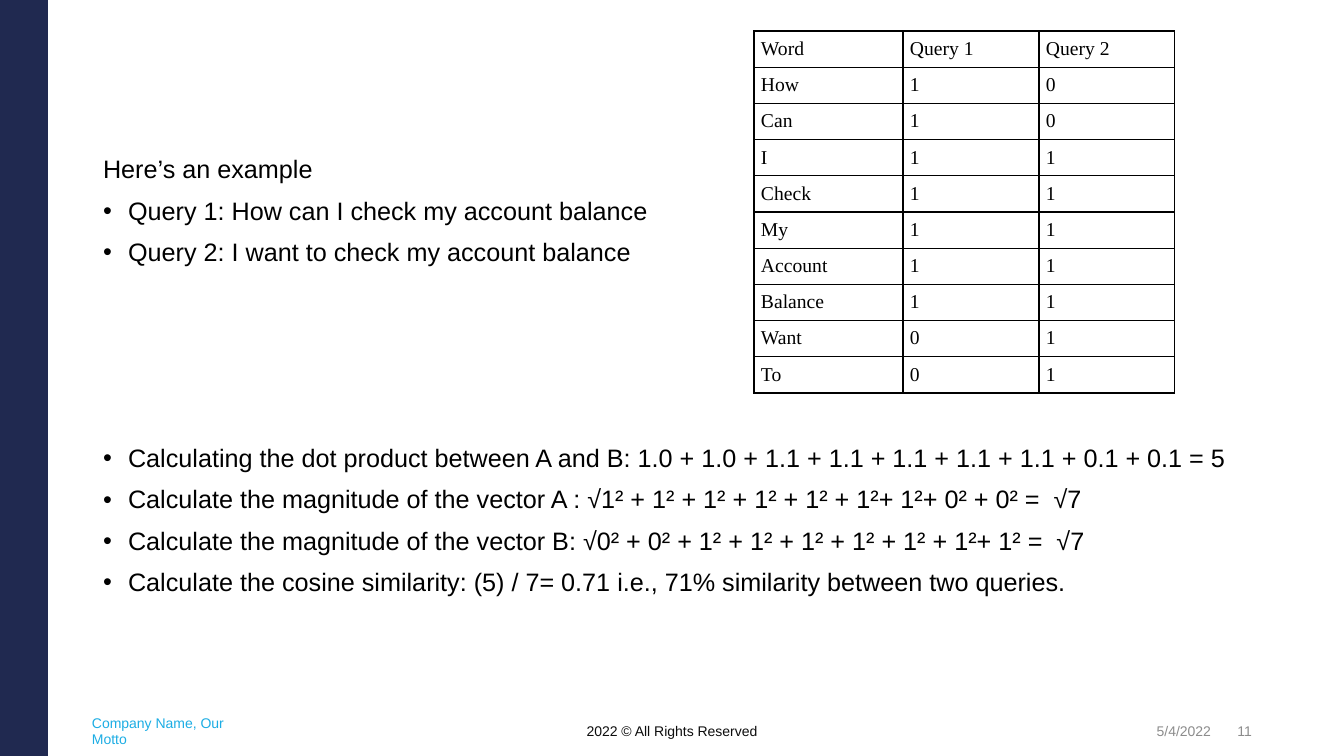
from lxml.etree import SubElement
from pptx import Presentation
from pptx.dml.color import RGBColor
from pptx.enum.shapes import MSO_SHAPE
from pptx.enum.text import MSO_ANCHOR, MSO_AUTO_SIZE, PP_ALIGN
from pptx.oxml.ns import qn
from pptx.util import Emu, Pt

NAVY = RGBColor(0x20, 0x29, 0x50)
BLUE = RGBColor(0x1C, 0xAD, 0xE4)
GRAY = RGBColor(0x8C, 0x8C, 0x8C)
DARK = RGBColor(0x0D, 0x0D, 0x0D)
BLACK = RGBColor(0, 0, 0)

LEAD = "Here’s an example"
QUERIES = [
    "Query 1: How can I check my account balance",
    "Query 2: I want to check my account balance",
]
STEPS = [
    "Calculating the dot product between A and B: 1.0 + 1.0 + 1.1 + 1.1 + 1.1 + 1.1 + 1.1 + 0.1 + 0.1 = 5",
    "Calculate the magnitude of the vector A : √1² + 1² + 1² + 1² + 1² + 1²+ 1²+ 0² + 0² =  √7",
    "Calculate the magnitude of the vector B: √0² + 0² + 1² + 1² + 1² + 1² + 1² + 1²+ 1² =  √7",
    "Calculate the cosine similarity: (5) / 7= 0.71 i.e., 71% similarity between two queries.",
]
COUNTS = [
    ("Word", "Query 1", "Query 2"),
    ("How", 1, 0),
    ("Can", 1, 0),
    ("I", 1, 1),
    ("Check", 1, 1),
    ("My", 1, 1),
    ("Account", 1, 1),
    ("Balance", 1, 1),
    ("Want", 0, 1),
    ("To", 0, 1),
]
FOOTER = [
    ("Company Name, Our Motto", 92, 169, PP_ALIGN.LEFT, BLUE),
    ("2022 © All Rights Reserved", 521, 302, PP_ALIGN.CENTER, DARK),
    ("5/4/2022", 909, 302, PP_ALIGN.RIGHT, GRAY),
    ("11", 1212, 40, PP_ALIGN.RIGHT, GRAY),
]
WIDTHS = [149, 136, 136]


def px(n):
    return Emu(round(n * 914400 / 100.8))


def style(para, size, color, face="Arial"):
    for run in para.runs:
        run.font.size = Pt(size)
        run.font.name = face
        run.font.color.rgb = color


def border(cell):
    props = cell._tc.get_or_add_tcPr()
    for side in ("lnL", "lnR", "lnT", "lnB"):
        line = SubElement(props, qn("a:" + side), w=str(Pt(1)))
        fill = SubElement(line, qn("a:solidFill"))
        SubElement(fill, qn("a:srgbClr"), val=str(BLACK))


deck = Presentation()
deck.slide_width, deck.slide_height = px(1344), px(756)
slide = deck.slides.add_slide(deck.slide_layouts[1])
shapes = slide.shapes
title = shapes.title
title.element.getparent().remove(title.element)

bar = shapes.add_shape(MSO_SHAPE.RECTANGLE, 0, 0, px(48), px(756))
bar.shadow.inherit = False
bar.fill.solid()
bar.fill.fore_color.rgb = NAVY
bar.line.fill.background()

body = slide.placeholders[1]
body.left, body.top, body.width, body.height = map(px, (93, 152, 1159, 509))
frame = body.text_frame
frame.text = "\n".join([LEAD] + QUERIES + STEPS)
frame.auto_size = MSO_AUTO_SIZE.NONE
frame.vertical_anchor = MSO_ANCHOR.TOP
for para in frame.paragraphs:
    para.line_spacing = 0.9
    para.space_before = Pt(10)
    style(para, 18, BLACK)
    props = para._p.get_or_add_pPr()
    lead = para.text == LEAD
    props.set("marL", str(0 if lead else px(25)))
    props.set("indent", str(0 if lead else -px(25)))
    if lead:
        para.space_before = Pt(0)
        SubElement(props, qn("a:buNone"))
    else:
        SubElement(props, qn("a:buChar"), char="•")
    if para.text == STEPS[0]:
        para.space_before = Pt(128)

grid = shapes.add_table(len(COUNTS), len(WIDTHS), px(754), px(31),
                        px(sum(WIDTHS)), px(362)).table
grid.first_row = grid.horz_banding = False
for col, width in zip(grid.columns, WIDTHS):
    col.width = px(width)
for row, words in zip(grid.rows, COUNTS):
    for cell, word in zip(row.cells, words):
        cell.text_frame.text = str(word)
        style(cell.text_frame.paragraphs[0], 14, BLACK, "Times New Roman")
        cell.margin_left = cell.margin_right = px(7)
        cell.margin_top = cell.margin_bottom = px(7)
        border(cell)
        cell.fill.background()

for text, left, width, align, color in FOOTER:
    frame = shapes.add_textbox(px(left), px(711), px(width), px(40)).text_frame
    frame.word_wrap = True
    frame.vertical_anchor = MSO_ANCHOR.MIDDLE
    frame.margin_left = frame.margin_right = 0
    frame.margin_top = frame.margin_bottom = 0
    frame.text = text
    frame.paragraphs[0].alignment = align
    style(frame.paragraphs[0], 10, color)

deck.save("out.pptx")
